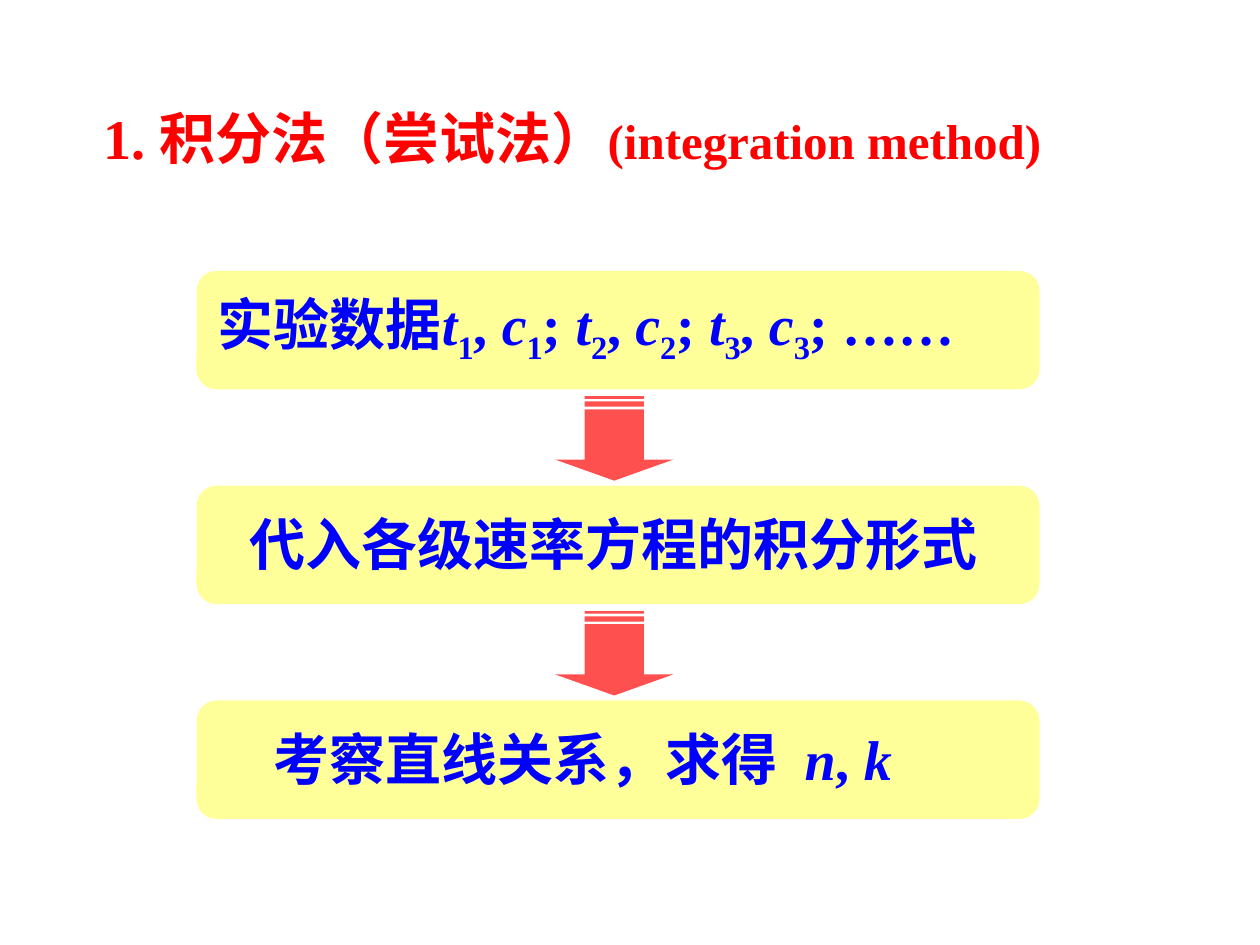
from dataclasses import dataclass

from lxml import etree
from pptx import Presentation
from pptx.dml.color import RGBColor
from pptx.enum.shapes import MSO_SHAPE as Shape
from pptx.enum.text import MSO_ANCHOR as Anchor, MSO_AUTO_SIZE as AutoSize, PP_ALIGN as Align
from pptx.oxml.ns import qn
from pptx.util import Inches, Pt


@dataclass(frozen=True)
class Theme:
    heading: RGBColor = RGBColor(0xFF, 0x00, 0x00)
    step_text: RGBColor = RGBColor(0x00, 0x00, 0xFF)
    card: RGBColor = RGBColor(0xFF, 0xFF, 0x99)
    arrow: RGBColor = RGBColor(0xFF, 0x50, 0x50)
    large: Pt = Pt(32)
    medium: Pt = Pt(28)
    latin: str = "Times New Roman"
    chinese: str = "Noto Sans CJK SC"


THEME = Theme()
CARD_HEIGHT = Inches(0.94)
LABEL_HEIGHT = Inches(0.63)


def add_run(paragraph, text, color, size=THEME.large, style=""):
    """Styles: i = italic symbol, sub = subscript, wide = widened spacing."""
    run = paragraph.add_run()
    run.text = text
    font = run.font
    font.size, font.bold, font.italic = size, True, style == "i"
    font.color.rgb = color
    font.name = THEME.latin
    properties = font._element
    etree.SubElement(properties, qn("a:ea")).set("typeface", THEME.chinese)
    if style == "sub":
        properties.set("baseline", "-25000")
    elif style == "wide":
        properties.set("spc", "800")


def add_line(slide, left, top, width, height):
    """Add a one-line text box and return its paragraph."""
    frame = slide.shapes.add_textbox(left, top, width, height).text_frame
    frame.word_wrap = True
    frame.auto_size = AutoSize.SHAPE_TO_FIT_TEXT
    frame.vertical_anchor = Anchor.MIDDLE
    paragraph = frame.paragraphs[0]
    paragraph.alignment = Align.JUSTIFY
    return paragraph


def add_filled(slide, preset, color, left, top, width, height):
    shape = slide.shapes.add_shape(preset, left, top, width, height)
    shape.shadow.inherit = False
    shape.fill.solid()
    shape.fill.fore_color.rgb = color
    shape.line.fill.background()
    return shape


def add_heading(slide, left, top, width, height):
    heading = add_line(slide, left, top, width, height)
    add_run(heading, "1. 积分法（尝试法）", THEME.heading)
    add_run(heading, "(integration method)", THEME.heading, THEME.medium)


def add_step(slide, left, top, width, indent, label_width, parts):
    """A rounded card with its label."""
    card = add_filled(slide, Shape.ROUNDED_RECTANGLE, THEME.card, left, top, width, CARD_HEIGHT)
    card.adjustments[0] = 0.17
    label = add_line(slide, left + indent, top + Inches(0.14), label_width, LABEL_HEIGHT)
    for text, style in parts:
        add_run(label, text, THEME.step_text, style=style)


def add_down_arrow(slide, center_x, center_y):
    """A striped right arrow turned to point down."""
    length, breadth = Inches(0.67), Inches(0.94)
    arrow = add_filled(slide, Shape.STRIPED_RIGHT_ARROW, THEME.arrow,
                       center_x - length // 2, center_y - breadth // 2, length, breadth)
    arrow.adjustments[0], arrow.adjustments[1] = 0.5, 0.25
    arrow.rotation = 90


def data_parts():
    parts = [("实验数据", "")]
    for number in "123":
        parts += [("t", "i"), (number, "sub"), (", ", ""),
                  ("c", "i"), (number, "sub"), ("; ", "")]
    return parts + [("……", "")]


def add_flow(slide, left, top, width, height):
    """Cards spread evenly over the height, with an arrow in each gap."""
    steps = [
        (Inches(0.07), Inches(6.4), data_parts()),
        (Inches(0.32), Inches(6.06), [("代入各级速率方程的积分形式", "")]),
        (Inches(0.51), Inches(5.83), [("考察直线关系，求得", ""), (" ", "wide"),
                                      ("n", "i"), (", ", ""), ("k", "i")]),
    ]
    pitch = (height - CARD_HEIGHT) // (len(steps) - 1)
    for index, (indent, label_width, parts) in enumerate(steps):
        step_top = top + index * pitch
        add_step(slide, left, step_top, width, indent, label_width, parts)
        if index < len(steps) - 1:
            add_down_arrow(slide, left + width // 2 - Inches(0.03), step_top + Inches(1.33))


def main():
    deck = Presentation()
    deck.slide_width, deck.slide_height = Inches(10), Inches(7.5)
    slide = deck.slides.add_slide(deck.slide_layouts[6])
    add_heading(slide, Inches(0.72), Inches(0.77), Inches(8.24), LABEL_HEIGHT)
    add_flow(slide, Inches(1.56), Inches(2.15), Inches(6.69), Inches(4.35))
    deck.save("out.pptx")


if __name__ == "__main__":
    main()
